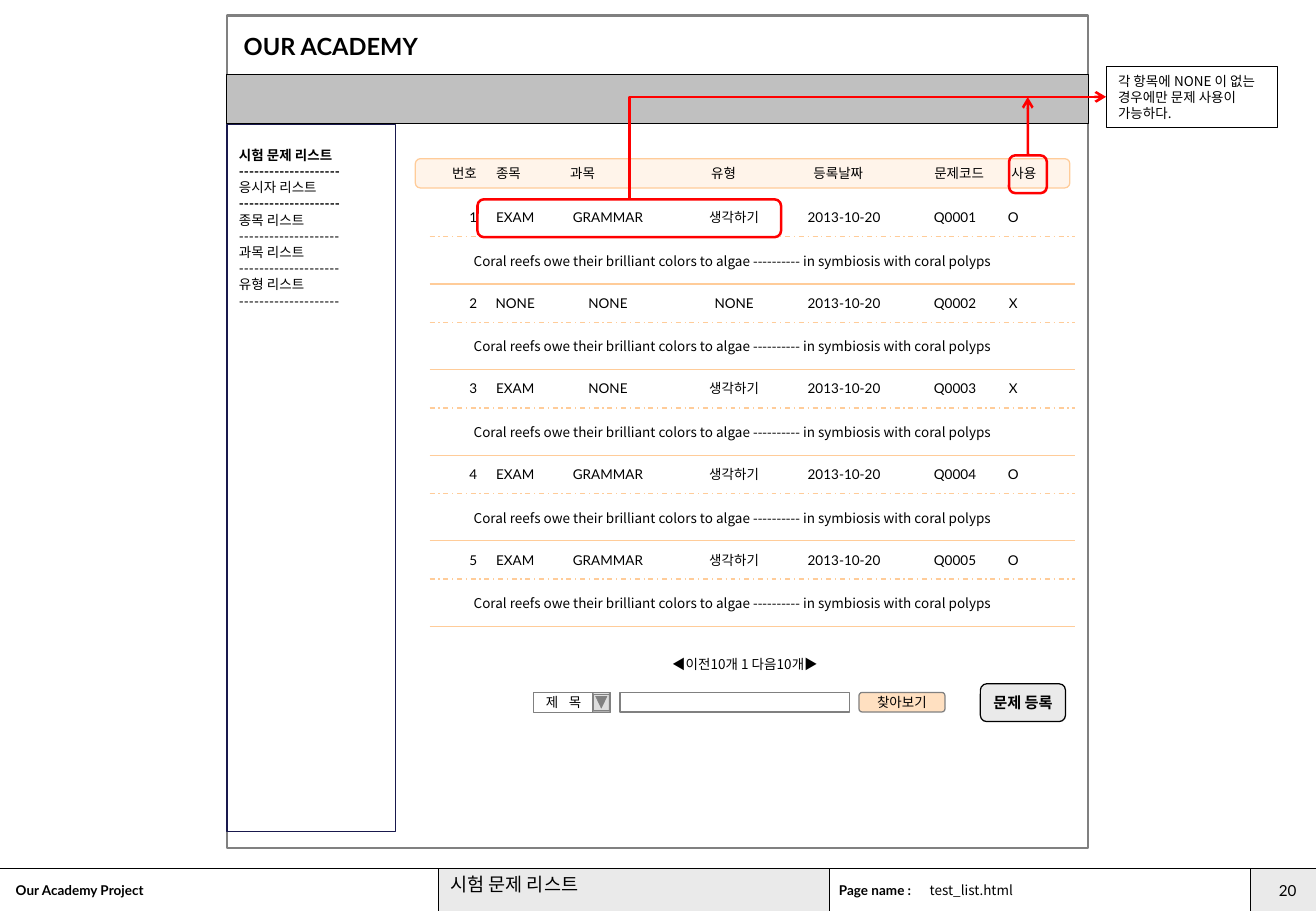
import pptx
import pptx.util
import pptx.dml.color
import pptx.enum.dml
import pptx.enum.shapes
import pptx.enum.text
import pptx.oxml.ns
import lxml.etree

Cm, Pt = pptx.util.Cm, pptx.util.Pt
KIND = pptx.enum.shapes.MSO_SHAPE
LINK = pptx.enum.shapes.MSO_CONNECTOR
ALIGN = pptx.enum.text.PP_ALIGN
LATO, NOTO = "Lato", "Noto Sans CJK KR"
BLACK, GREY, PALE, PEACH, RED = "000000", "808080", "EAEAEA", "FFCC99", "FF0000"

HEAD = ["번호", "종목", "과목", "유형", "등록날짜", "문제코드", "사용"]
HEAD_STOPS = [0.9, 1.82, 3.37, 6.32, 8.72, 11.25, 12.6]
ROW_STOPS = [1.11, 1.99, 3.93, 6.57, 8.87, 11.19, 12.41]
ROWS = [
    ("EXAM", "GRAMMAR", "생각하기", "O"),
    ("NONE", "NONE", "NONE", "X"),
    ("EXAM", "NONE", "생각하기", "X"),
    ("EXAM", "GRAMMAR", "생각하기", "O"),
    ("EXAM", "GRAMMAR", "생각하기", "O"),
]
DATE = "2013-10-20"
QUOTE = ("Coral reefs owe their brilliant colors to algae ---------- "
         "in symbiosis with coral polyps")
MENU = ["시험 문제 리스트", "응시자 리스트", "종목 리스트", "과목 리스트", "유형 리스트"]
DASHES = "-" * 20
NOTE = ["각 항목에 NONE 이 없는", "경우에만 문제 사용이", "가능하다."]


def rgb(code):
    return pptx.dml.color.RGBColor.from_string(code)


def add_xml(parent, tag, **attrs):
    node = lxml.etree.SubElement(parent, pptx.oxml.ns.qn(tag))
    for key, value in attrs.items():
        node.set(key, str(value))
    return node


def add_box(slide, area, fill=None, line=None, width=0.75, kind=KIND.RECTANGLE, alpha=None):
    shape = slide.shapes.add_shape(kind, *[Cm(v) for v in area])
    shape.shadow.inherit = False
    if fill:
        shape.fill.solid()
        shape.fill.fore_color.rgb = rgb(fill)
        if alpha:
            tint = shape.fill._xPr.find(".//" + pptx.oxml.ns.qn("a:srgbClr"))
            add_xml(tint, "a:alpha", val=alpha * 1000)
    else:
        shape.fill.background()
    if line:
        shape.line.color.rgb = rgb(line)
        shape.line.width = Pt(width)
    else:
        shape.line.fill.background()
    return shape


def set_frame(shape, left=0.25, right=0, top=0, wrap=True):
    frame = shape.text_frame
    frame.word_wrap = wrap
    frame.vertical_anchor = pptx.enum.text.MSO_ANCHOR.MIDDLE
    frame.margin_left, frame.margin_right = Cm(left), Cm(right)
    frame.margin_top, frame.margin_bottom = Cm(top), Cm(0)
    return frame


def add_run(para, text, size=8, font=LATO, bold=False):
    run = para.add_run()
    run.text = text
    run.font.size, run.font.bold, run.font.name = Pt(size), bold, font
    run.font.color.rgb = rgb(BLACK)
    add_xml(run.font._element, "a:ea", typeface=NOTO)


def set_tabs(para, stops, align):
    tabs = add_xml(para._p.get_or_add_pPr(), "a:tabLst")
    for stop in stops:
        add_xml(tabs, "a:tab", pos=Cm(stop), algn=align)


def add_label(slide, area, text, align=ALIGN.LEFT, left=0.25, right=0, **style):
    shape = slide.shapes.add_textbox(*[Cm(v) for v in area])
    para = set_frame(shape, left, right).paragraphs[0]
    para.alignment = align
    add_run(para, text, **style)


def add_button(slide, area, text, size=8, bold=False, **look):
    shape = add_box(slide, area, kind=KIND.ROUNDED_RECTANGLE, **look)
    para = set_frame(shape, 0).paragraphs[0]
    para.alignment = ALIGN.CENTER
    add_run(para, text, size, bold=bold)


def add_cells(shape, cells, stops):
    para = set_frame(shape, 0.1).paragraphs[0]
    para.alignment = ALIGN.LEFT
    set_tabs(para, stops, "ctr")
    for cell in cells:
        add_run(para, "\t" + cell)


def add_lines(frame, lines, font):
    for i, (text, bold) in enumerate(lines):
        para = frame.add_paragraph() if i else frame.paragraphs[0]
        para.alignment = ALIGN.LEFT
        para.line_spacing = Pt(9.6)
        add_run(para, text, font=font, bold=bold)


def add_line(slide, ends, color=BLACK, width=0.75, kind=LINK.STRAIGHT, arrow=None):
    line = slide.shapes.add_connector(kind, *[Cm(v) for v in ends])
    line.line.color.rgb = rgb(color)
    line.line.width = Pt(width)
    if arrow:
        add_xml(line.line._get_or_add_ln(), arrow, type="arrow")
    add_xml(line._element.spPr, "a:effectLst")
    return line


def add_footer(slide):
    for left, width in ((26.16, 1.37), (9.17, 8.18)):
        add_box(slide, (left, 18.16, width, 0.89), fill=PALE)
    add_line(slide, (0, 18.16, 27.53, 18.16))
    for x, width in ((9.17, 0.25), (17.35, 0.25), (26.16, 0.75)):
        add_line(slide, (x, 18.16, x, 19.05), width=width)
    add_label(slide, (0.08, 18.31, 5.84, 0.61), "Our Academy Project", bold=True)
    add_label(slide, (9.17, 18.14, 8.2, 0.71), "시험 문제 리스트", size=11, font=NOTO)
    add_label(slide, (17.3, 18.31, 2.26, 0.61), "Page name :", bold=True)
    add_label(slide, (19.35, 18.31, 6.6, 0.61), "test_list.html", left=0.1, font=NOTO)
    add_label(slide, (26.26, 18.29, 1.14, 0.67), "20", ALIGN.RIGHT, right=0.28, size=9)


def add_window(slide):
    add_box(slide, (4.75, 0.33, 18.01, 17.4), line=GREY, width=1.5)
    add_label(slide, (5, 0.53, 6, 0.86), "OUR ACADEMY", left=0.1, size=14, bold=True)
    add_box(slide, (4.74, 1.56, 18.03, 1.02), fill="C0C0C0", line=BLACK)
    # Side menu
    side = add_box(slide, (4.75, 2.61, 3.53, 14.78), fill="FFFFFF", line="19194D")
    frame = set_frame(side, top=0.46)
    frame.vertical_anchor = pptx.enum.text.MSO_ANCHOR.TOP
    lines = []
    for i, item in enumerate(MENU):
        lines += [(item, i == 0), (DASHES, i < 2)]
    add_lines(frame, lines, LATO)


def add_list(slide):
    head = add_box(slide, (8.69, 3.32, 13.69, 0.61), fill=PEACH, line=PEACH,
                   kind=KIND.ROUNDED_RECTANGLE, alpha=20)
    add_cells(head, HEAD, HEAD_STOPS)
    for i, (test, topic, form, used) in enumerate(ROWS):
        top = 4.24 + 1.79 * i
        row = add_box(slide, (8.69, top, 13.69, 0.61))
        add_cells(row, [str(i + 1), test, topic, form, DATE, f"Q{i + 1:04}", used], ROW_STOPS)
        dash = add_line(slide, (8.99, top + 0.71, 22.48, top + 0.71), PEACH)
        dash.line.dash_style = pptx.enum.dml.MSO_LINE.DASH_DOT
        add_label(slide, (9.66, top + 0.91, 12.5, 0.61), QUOTE, font=NOTO)
        add_line(slide, (8.99, top + 1.7, 22.48, top + 1.7), PEACH)


def add_search(slide):
    add_label(slide, (8.41, 13.49, 14.35, 0.79), "◀이전10개 1 다음10개▶",
              ALIGN.CENTER, left=0, font=NOTO)
    add_box(slide, (12.97, 14.48, 4.8, 0.41), fill="FFFFFF", line=GREY)
    add_button(slide, (17.97, 14.48, 1.8, 0.41), "찾아보기", fill=PEACH, line=GREY, alpha=60)
    # Drop-down
    pick = add_box(slide, (11.17, 14.48, 1.47, 0.41), line=GREY, width=0.5)
    para = set_frame(pick).paragraphs[0]
    para.alignment = ALIGN.LEFT
    set_tabs(para, [0.48], "l")
    add_run(para, "제\t목")
    knob = add_box(slide, (12.39, 14.48, 0.38, 0.41), "DDDDDD", GREY, 0.25, KIND.BEVEL)
    knob.adjustments[0] = 0.08
    add_box(slide, (12.46, 14.56, 0.24, 0.25), GREY, GREY, 0.25, KIND.FLOWCHART_MERGE)
    add_button(slide, (20.51, 14.3, 1.78, 0.79), "문제 등록", 9, True, fill=PALE, line=BLACK)


def add_marks(slide):
    fields, flag = [
        add_box(slide, area, line=RED, width=1.5, kind=KIND.ROUNDED_RECTANGLE)
        for area in ((9.99, 4.17, 6.35, 0.79), (21.11, 3.25, 0.79, 0.79))]
    note = add_box(slide, (23.14, 1.39, 3.58, 1.27), fill="FFFFFF", line=BLACK, width=0.25)
    add_lines(set_frame(note), [(text, False) for text in NOTE], NOTO)
    # Arrows to the note
    bend = add_line(slide, (23.14, 2.03, 13.16, 4.17), RED, 1.5, LINK.ELBOW, "a:headEnd")
    bend._element.spPr.prstGeom.set("prst", "bentConnector2")
    bend.begin_connect(note, 1)
    bend.end_connect(fields, 0)
    rise = add_line(slide, (21.5, 3.25, 21.5, 2.03), RED, 1.5, arrow="a:tailEnd")
    rise.begin_connect(flag, 0)


def main():
    deck = pptx.Presentation()
    deck.slide_width, deck.slide_height = Cm(27.53), Cm(19.05)
    slide = deck.slides.add_slide(deck.slide_layouts[6])
    add_footer(slide)
    add_window(slide)
    add_list(slide)
    add_search(slide)
    add_marks(slide)
    deck.save("out.pptx")


if __name__ == "__main__":
    main()
